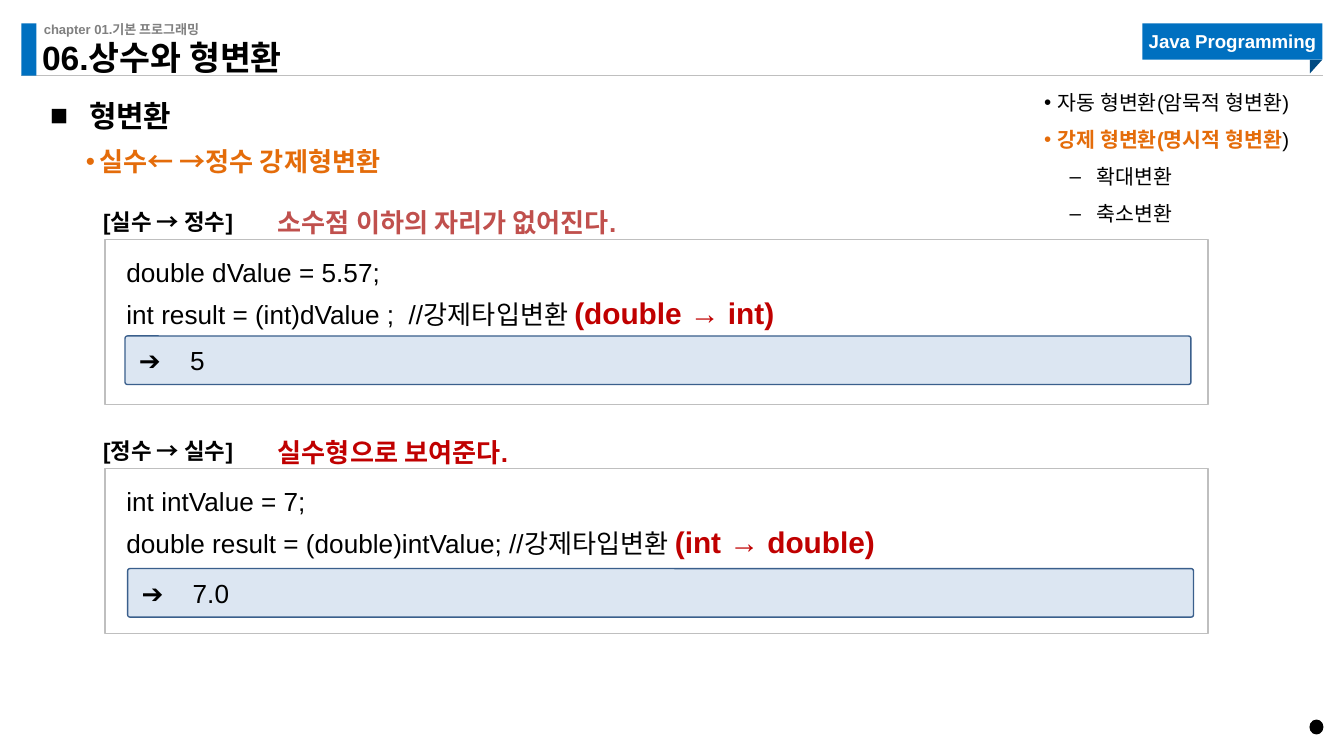
from lxml import etree
from pptx import Presentation
from pptx.dml.color import RGBColor
from pptx.enum.shapes import MSO_CONNECTOR, MSO_SHAPE
from pptx.enum.text import MSO_ANCHOR, MSO_AUTO_SIZE, PP_ALIGN
from pptx.oxml.ns import qn
from pptx.util import Pt

RECTANGLE, ROUNDED = MSO_SHAPE.RECTANGLE, MSO_SHAPE.ROUNDED_RECTANGLE
TRIANGLE, OVAL = MSO_SHAPE.RIGHT_TRIANGLE, MSO_SHAPE.OVAL
TOP, MIDDLE, BOTTOM = MSO_ANCHOR.TOP, MSO_ANCHOR.MIDDLE, MSO_ANCHOR.BOTTOM
LEFT, CENTER = PP_ALIGN.LEFT, PP_ALIGN.CENTER

FONT = "Arial"
BLACK, WHITE, GRAY, RULE = "000000", "FFFFFF", "808080", "BFBFBF"
BLUE, NAVY, ORANGE, RED = "0070C0", "004A82", "E46C0A", "C00000"
NO_INSETS, INSETS = (0, 0, 0, 0), (7.2, 3.6, 7.2, 3.6)
LIST_INSETS, CODE_INSETS = (0, 3.6, 7.2, 3.6), (11.5, 5.8, 11.5, 0)

# Content: a run is (text, size, colour, bold)
CHAPTER = ("chapter 01.기본 프로그래밍", 7, GRAY, True)
TITLE = ("06.상수와 형변환", 18, BLACK, True)
BADGE = ("Java Programming", 10, WHITE, True)
HEADING = ("형변환", 16, BLACK, True)
SUBHEADING = ("실수← →정수 강제형변환", 14, ORANGE, True)
OUTLINE = [
    (1, [("자동 형변환(암묵적 형변환)", 11, BLACK, False)]),
    (1, [("강제 형변환(명시적 형변환", 11, ORANGE, True), (")", 11, BLACK, False)]),
    (2, [("확대변환", 11, BLACK, False)]),
    (2, [("축소변환", 11, BLACK, False)]),
]
EXAMPLES = [
    {"label": "[실수 → 정수]", "note": "소수점 이하의 자리가 없어진다.", "note_color": "C0504D",
     "code": ["double dValue = 5.57;", "int result = (int)dValue ;  //강제타입변환 "],
     "cast": "(double → int)", "result": "5", "result_at": (67, 180)},
    {"label": "[정수 → 실수]", "note": "실수형으로 보여준다.", "note_color": RED,
     "code": ["int intValue = 7;", "double result = (double)intValue; //강제타입변환 "],
     "cast": "(int → double)", "result": "7.0", "result_at": (68.4, 304.6)},
]
# Level: (left margin, first-line indent, bullet)
BULLETS = {0: (20.9, -20.9, "■"), 1: (28.8, -7.2, "•"), 2: (49.7, -14.4, "–")}


def rgb(color):
    return RGBColor.from_string(color)


def set_indent(paragraph, margin, indent, bullet=None):
    properties = paragraph._p.get_or_add_pPr()
    properties.set("marL", str(Pt(margin)))
    properties.set("indent", str(Pt(indent)))
    if bullet:
        etree.SubElement(properties, qn("a:buFont")).set("typeface", FONT)
        etree.SubElement(properties, qn("a:buChar")).set("char", bullet)


def write(shape, paragraphs, insets=INSETS, anchor=TOP, align=LEFT, spacing=1.0,
          bulleted=False, hanging=0):
    """Fill a shape with paragraphs given as (level, runs)."""
    frame = shape.text_frame
    frame.word_wrap = True
    frame.auto_size = MSO_AUTO_SIZE.NONE
    frame.vertical_anchor = anchor
    (frame.margin_left, frame.margin_top,
     frame.margin_right, frame.margin_bottom) = map(Pt, insets)
    for index, (level, runs) in enumerate(paragraphs):
        paragraph = frame.add_paragraph() if index else frame.paragraphs[0]
        paragraph.level = level
        paragraph.alignment = align
        paragraph.line_spacing = spacing
        paragraph.space_before = Pt(0)
        if bulleted:
            set_indent(paragraph, *BULLETS[level])
        elif hanging:
            set_indent(paragraph, hanging, -hanging)
        for text, size, color, bold in runs:
            run = paragraph.add_run()
            run.text = text
            run.font.name, run.font.size, run.font.bold = FONT, Pt(size), bold
            run.font.color.rgb = rgb(color)


def place(shape, left, top, width, height):
    shape.left, shape.top, shape.width, shape.height = map(Pt, (left, top, width, height))
    return shape


def add_shape(kind, box, fill=None, line=None, line_width=0.75):
    shape = slide.shapes.add_shape(kind, *map(Pt, box))
    shape.shadow.inherit = False
    if fill:
        shape.fill.solid()
        shape.fill.fore_color.rgb = rgb(fill)
    else:
        shape.fill.background()
    if line:
        shape.line.color.rgb = rgb(line)
        shape.line.width = Pt(line_width)
    else:
        shape.line.fill.background()
    return shape


def add_text(box, paragraphs, **options):
    write(slide.shapes.add_textbox(*map(Pt, box)), paragraphs, **options)


presentation = Presentation()
presentation.slide_width, presentation.slide_height = Pt(720), Pt(405)
slide = presentation.slides.add_slide(presentation.slide_layouts[1])

# Header
rule = slide.shapes.add_connector(MSO_CONNECTOR.STRAIGHT, Pt(11.5), Pt(40.5), Pt(708.5), Pt(40.5))
rule.line.color.rgb = rgb(RULE)
rule.line.width = Pt(0.5)
etree.SubElement(rule._element.spPr, qn("a:effectLst"))
add_shape(RECTANGLE, (11.5, 12.5, 8, 28), BLUE)
add_text((23.5, 11.5, 232.5, 8.6), [(0, [CHAPTER])], insets=NO_INSETS)
badge = add_shape(RECTANGLE, (612, 12.5, 96.5, 19.5), BLUE)
write(badge, [(0, [BADGE])], insets=NO_INSETS, anchor=MIDDLE, align=CENTER)
add_shape(TRIANGLE, (701.4, 32.5, 7.2, 6.5), NAVY).rotation = 90

# Title and headings
title, body = slide.placeholders
write(place(title, 22.5, 25.2, 237.6, 16.5), [(0, [TITLE])],
      insets=NO_INSETS, anchor=BOTTOM, spacing=0.9)
write(place(body, 26.8, 42.5, 687, 23.8), [(0, [HEADING])],
      insets=NO_INSETS, spacing=1.5, bulleted=True)
add_text((24.5, 66.2, 673, 33.8), [(1, [SUBHEADING])],
         insets=LIST_INSETS, spacing=1.5, bulleted=True)
add_text((537.8, 38.2, 175, 85), OUTLINE, insets=LIST_INSETS, spacing=1.5, bulleted=True)

# Examples: label, note, code box and result bar
for index, example in enumerate(EXAMPLES):
    top = 128.3 + index * 122.7
    add_text((48.2, top - 20.2, 171.4, 21.6), [(0, [(example["label"], 12, BLACK, True)])])
    add_text((141.8, top - 21, 218.2, 24.5),
             [(0, [(example["note"], 14, example["note_color"], True)])])
    lines = [(1, [(text, 14, BLACK, False)]) for text in example["code"]]
    lines[-1][1].append((example["cast"], 16, RED, True))
    code_box = add_shape(RECTANGLE, (56.2, top, 591, 88.5), line=RULE)
    write(code_box, lines, insets=CODE_INSETS, spacing=1.2, hanging=27.4)
    result_bar = add_shape(ROUNDED, (*example["result_at"], 571, 26), "DCE6F2", "3A5F8C")
    result_bar.adjustments[0] = 0.05
    write(result_bar, [(1, [("➔\t" + example["result"], 14, BLACK, False)])],
          anchor=MIDDLE, hanging=27.4)

# Corner dot
add_shape(OVAL, (702, 386, 6.5, 7), BLACK, BLACK, 1)

presentation.save("out.pptx")
